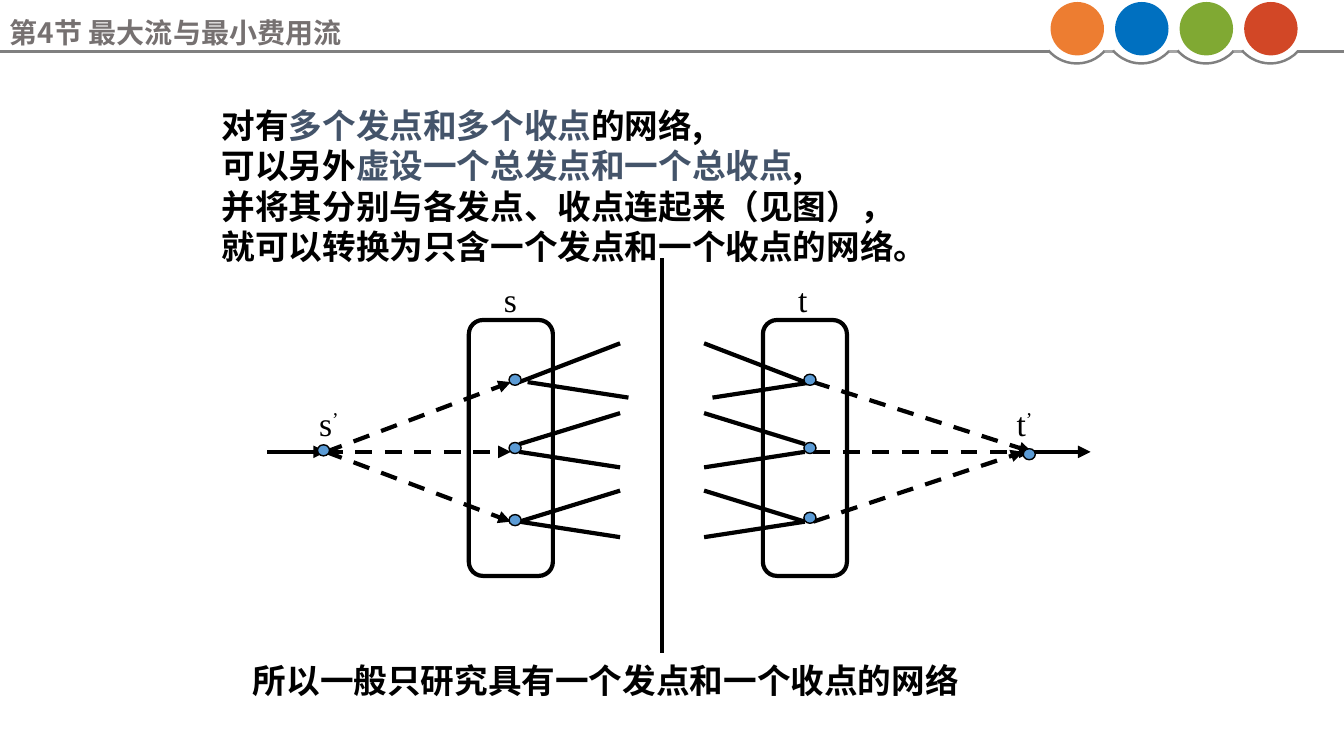
"""Build the slide on networks with several sources and sinks."""
from lxml.etree import SubElement
from pptx import Presentation
from pptx.dml.color import RGBColor
from pptx.enum.dml import MSO_LINE
from pptx.enum.shapes import MSO_CONNECTOR, MSO_SHAPE
from pptx.enum.text import MSO_AUTO_SIZE
from pptx.oxml.ns import qn
from pptx.util import Inches, Pt

COLORS = {
    "ink": "000000", "accent": "44546A", "node": "5B9BD5", "title": "767171",
    "rule": "808080", "gap": "A6A6A6",
    "orange": "ED7D31", "blue": "0070C0", "green": "80A933", "red": "D24726",
}
CHINESE, LATIN = "Noto Sans CJK SC", "Times New Roman"

deck = Presentation()
deck.slide_width, deck.slide_height = Inches(13.33), Inches(7.5)
page = deck.slides.add_slide(deck.slide_layouts[6])

COLUMN, ROW = Inches(1 / 12), Inches(1 / 13)
columns = [Inches(2.65) + COLUMN * number for number in range(99)]
rows = [Inches(2.56) + ROW * number for number in range(52)]


def draw_line(start, end, color="ink", weight=3, dashed=False, arrow=False):
    connector = page.shapes.add_connector(MSO_CONNECTOR.STRAIGHT, *start, *end)
    connector.line.color.rgb = RGBColor.from_string(COLORS[color])
    connector.line.width = Pt(weight)
    if dashed:
        connector.line.dash_style = MSO_LINE.DASH
    properties = connector._element.spPr
    if arrow:
        SubElement(properties.find(qn("a:ln")), qn("a:tailEnd"), type="triangle")
    SubElement(properties, qn("a:effectLst"))


def add_text(left, top, width, height, lines, size=24, font=CHINESE, color="ink", wrap=True):
    box = page.shapes.add_textbox(left, top, width, height)
    frame = box.text_frame
    frame.word_wrap = wrap
    frame.auto_size = MSO_AUTO_SIZE.NONE
    for number, line in enumerate(lines):
        para = frame.paragraphs[0] if number == 0 else frame.add_paragraph()
        for text, style in line:
            span = para.add_run()
            span.text = text
            if style == "accent":
                span.font.color.rgb = RGBColor.from_string(COLORS["accent"])
            elif style == "raised":
                span._r.get_or_add_rPr().set("baseline", "30000")
        para.font.size = Pt(size)
        para.font.name = font
        para.font.bold = font == CHINESE
        para.font.color.rgb = RGBColor.from_string(COLORS[color])
        SubElement(para._p.pPr.find(qn("a:defRPr")), qn("a:ea"), typeface=font)
        if font == CHINESE:
            para.line_spacing = Pt(size * 1.2)


fans = ((11, 16), (18, 16), (20, 24), (27, 25), (30, 34), (36, 34))
for far_column, near_column in ((42, 30), (52, 64)):
    for far_row, near_row in fans:
        shift = 1 if far_row == 18 else 0
        draw_line((columns[far_column + shift], rows[far_row]),
                  (columns[near_column + shift], rows[near_row]))

for node_row, sink_column in ((16, 91), (25, 91), (34, 90)):
    draw_line((columns[7], rows[25]), (columns[29], rows[node_row]), dashed=True, arrow=True)
    draw_line((columns[65], rows[node_row]), (columns[sink_column], rows[25]),
              dashed=True, arrow=True)

for first, last in ((0, 7), (91, 98)):
    draw_line((columns[first], rows[25]), (columns[last], rows[25]), arrow=True)
draw_line((columns[47], rows[0]), (columns[47], rows[51]))

shapes = [(MSO_SHAPE.ROUNDED_RECTANGLE, columns[left], rows[8], COLUMN * 10, ROW * 33,
           None, "ink", 3, (0.167,)) for left in (24, 59)]

nodes = ((29.5, 15.7), (29.5, 24.5), (29.5, 33.8), (64.6, 15.7), (64.6, 24.5), (64.6, 33.5),
         (6.7, 24.8), (90.7, 25.3))
node_width, node_height = Inches(0.12), Inches(0.11)
for column, row in nodes:
    shapes.append((MSO_SHAPE.OVAL,
                   int(columns[0] + column * COLUMN - node_width / 2),
                   int(rows[0] + row * ROW - node_height / 2),
                   node_width, node_height, "node", "ink", 1, ()))

rule_top = Inches(0.51)
draw_line((0, rule_top), (Inches(10.41), rule_top), "rule", 1.77)
draw_line((Inches(12.86), rule_top), (deck.slide_width, rule_top), "rule", 1.77)
for number, color in enumerate(("orange", "blue", "green", "red")):
    offset = Inches(0.64) * number
    shapes.append((MSO_SHAPE.ARC, Inches(10.31) + offset, Inches(-0.11), Inches(0.74),
                   Inches(0.74), None, "rule", 1.77, (25.38, 83.6)))
    shapes.append((MSO_SHAPE.OVAL, Inches(10.42) + offset, Inches(0.02), Inches(0.53),
                   Inches(0.53), color, None, 0, ()))
    if number < 3:
        draw_line((Inches(10.94) + offset, rule_top), (Inches(11.05) + offset, rule_top),
                  "gap", 1.77)

for kind, left, top, width, height, fill, outline, weight, adjustments in shapes:
    shape = page.shapes.add_shape(kind, left, top, width, height)
    shape.shadow.inherit = False
    for index, value in enumerate(adjustments):
        shape.adjustments[index] = value
    if fill:
        shape.fill.solid()
        shape.fill.fore_color.rgb = RGBColor.from_string(COLORS[fill])
    else:
        shape.fill.background()
    if outline:
        shape.line.color.rgb = RGBColor.from_string(COLORS[outline])
        shape.line.width = Pt(weight)
    else:
        shape.line.fill.background()

labels = ((27, 2, [("s", "")]), (62, 2, [("t", "")]),
          (5, 18, [("s", ""), ("’", "raised")]), (88, 18, [("t", ""), ("’", "raised")]))
for column, row, line in labels:
    add_text(columns[column], rows[row], COLUMN * 9, Inches(0.5), [line], font=LATIN)

add_text(0, Inches(0.1), Inches(10.96), Inches(0.36),
         [[("第4节 最大流与最小费用流", "")]], size=20, color="title")
add_text(Inches(2.1), Inches(0.99), Inches(8.9), Inches(1.72), [
    [("对有", ""), ("多个发点和多个收点", "accent"), ("的网络,", "")],
    [("可以另外", ""), ("虚设一个总发点和一个总收点", "accent"), (",", "")],
    [("并将其分别与各发点、收点连起来（见图），", "")],
    [("就可以转换为只含一个发点和一个收点的网络。", "")],
])
add_text(Inches(2.41), Inches(6.5), Inches(7.2), Inches(0.5),
         [[("所以一般只研究具有一个发点和一个收点的网络", "")]], wrap=False)

deck.save("out.pptx")
